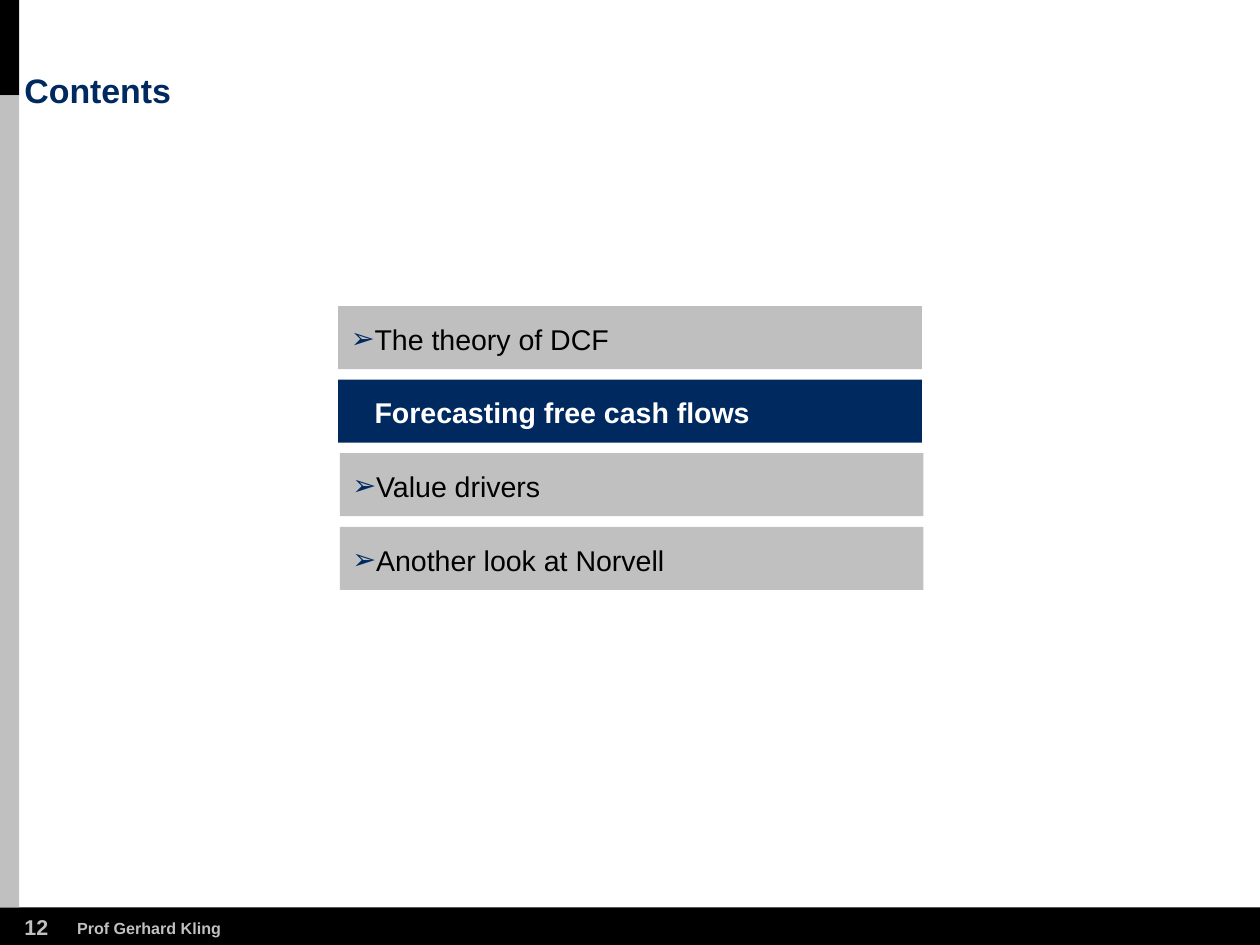
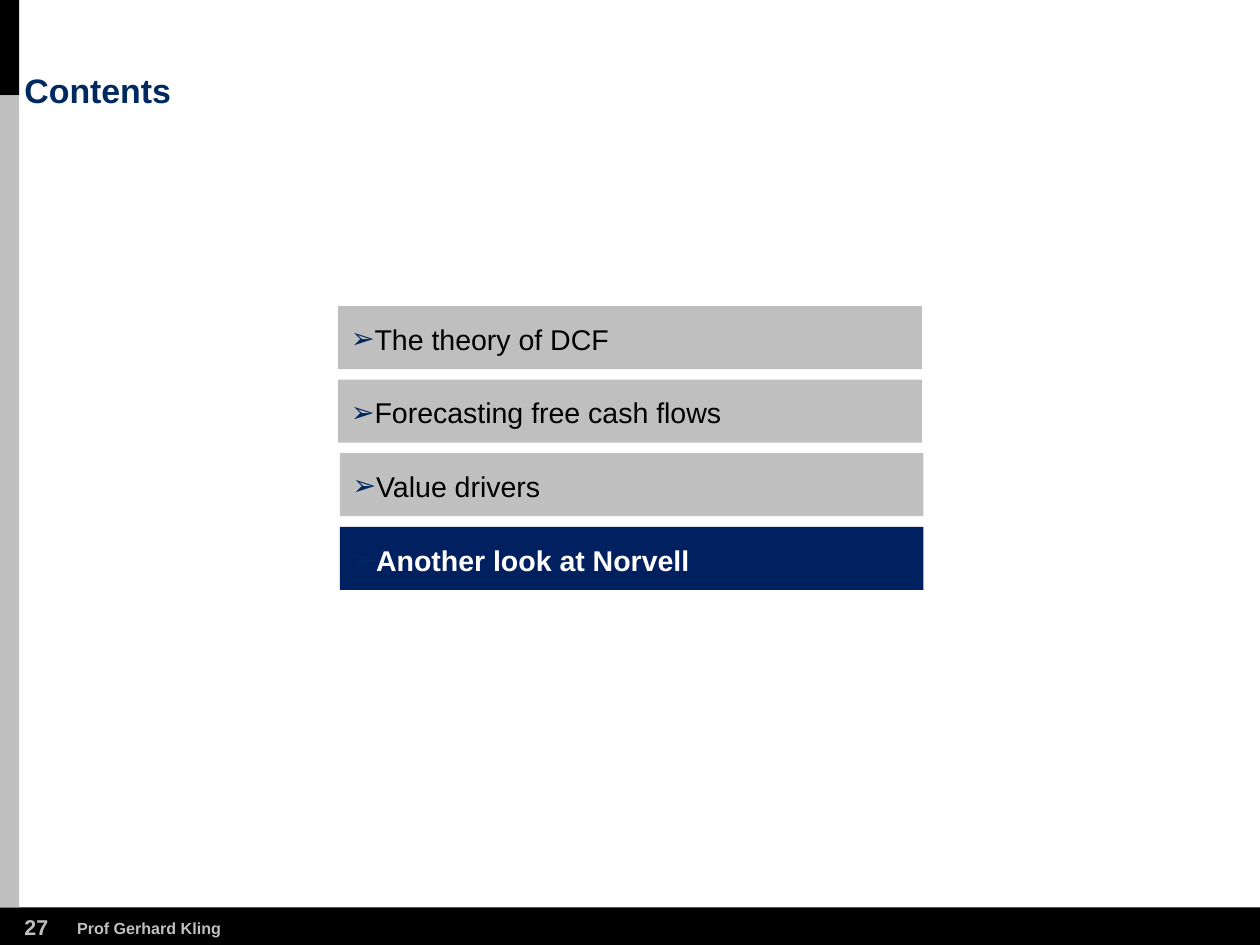
from lxml.etree import SubElement
from pptx import Presentation
from pptx.dml.color import RGBColor
from pptx.enum.shapes import MSO_SHAPE
from pptx.enum.text import MSO_ANCHOR, PP_ALIGN
from pptx.oxml.ns import qn
from pptx.util import Pt

WIDTH, HEIGHT = 705.6, 529.2
FOOTER_TOP = 508.2
SIDE_WIDTH, SIDE_SPLIT = 10.8, 53.4
TEXT_LEFT = 13.7

FONT = "Arial"
BLACK, WHITE = "000000", "FFFFFF"
NAVY, DEEP_NAVY = "002960", "002060"
GREY, LIGHT_GREY = "BFBFBF", "C0C0C0"

BAR_HEIGHT, BAR_PITCH = 35.3, 41.2
AGENDA_BOX = (189.4, 171.4, 326.9)
# Topic, shift to the right, fill, fill when it is the current topic
TOPICS = [
    ("The theory of DCF", 0, GREY, NAVY),
    ("Forecasting free cash flows", 0, GREY, NAVY),
    ("Value drivers", 0.9, LIGHT_GREY, DEEP_NAVY),
    ("Another look at Norvell", 0.9, LIGHT_GREY, DEEP_NAVY),
]


def rgb(value):
    return RGBColor.from_string(value)


def add_rect(s, left, top, width, height, fill):
    sp = s.shapes.add_shape(MSO_SHAPE.RECTANGLE, Pt(left), Pt(top), Pt(width), Pt(height))
    sp.shadow.inherit = False
    sp.fill.solid()
    sp.fill.fore_color.rgb = rgb(fill)
    sp.line.fill.background()
    return sp


def write(sp, text, size, color, bold=False, anchor=MSO_ANCHOR.TOP, wrap=False, insets=(0, 0)):
    """Put one left-aligned run in a shape; insets are left and top. Return its paragraph."""
    tf = sp.text_frame
    tf.word_wrap = wrap
    tf.vertical_anchor = anchor
    tf.margin_left, tf.margin_top = map(Pt, insets)
    tf.margin_right = tf.margin_bottom = 0
    p = tf.paragraphs[0]
    p.alignment = PP_ALIGN.LEFT
    r = p.add_run()
    r.text = text
    r.font.name = FONT
    r.font.size = Pt(size)
    r.font.bold = bold
    r.font.color.rgb = rgb(color)
    return p


def add_text(s, left, top, width, height, text, size, color, **style):
    sp = s.shapes.add_textbox(Pt(left), Pt(top), Pt(width), Pt(height))
    return write(sp, text, size, color, bold=True, **style)


def add_bullet(p, char, color, indent):
    pPr = p._p.get_or_add_pPr()
    pPr.set("marL", str(Pt(indent)))
    pPr.set("indent", str(-Pt(indent)))
    SubElement(SubElement(pPr, qn("a:buClr")), qn("a:srgbClr"), val=color)
    SubElement(pPr, qn("a:buFont"), typeface=FONT)
    SubElement(pPr, qn("a:buChar"), char=char)


def add_frame(s, title, number):
    """Bands, title and footer that every slide shares."""
    add_rect(s, 0, FOOTER_TOP, WIDTH, HEIGHT - FOOTER_TOP, BLACK)
    add_rect(s, 0, 0, SIDE_WIDTH, SIDE_SPLIT, BLACK)
    add_rect(s, 0, SIDE_SPLIT, SIDE_WIDTH, FOOTER_TOP - SIDE_SPLIT, LIGHT_GREY)
    add_text(s, TEXT_LEFT, 512, 14, 14, str(number), 12, LIGHT_GREY)
    add_text(s, 43.2, 514.2, 81.4, 10.8, "Prof Gerhard Kling", 9, LIGHT_GREY)
    p = add_text(s, TEXT_LEFT, 41.8, 558.7, 20.2, title, 19, NAVY,
                 anchor=MSO_ANCHOR.BOTTOM, wrap=True)
    p.line_spacing = 0.9


def add_agenda(s, left, top, width, current):
    """Stack of topic bars with the current one highlighted."""
    for i, (topic, shift, fill, current_fill) in enumerate(TOPICS):
        active = i == current
        sp = add_rect(s, left + shift, top + i * BAR_PITCH, width, BAR_HEIGHT,
                      current_fill if active else fill)
        p = write(sp, topic, 16, WHITE if active else BLACK, bold=active,
                  anchor=MSO_ANCHOR.MIDDLE, insets=(7.2, 1.5))
        add_bullet(p, "➢", NAVY, 11.5)


def add_contents_slide(prs, number, current):
    s = prs.slides.add_slide(prs.slide_layouts[6])
    add_frame(s, "Contents", number)
    add_agenda(s, *AGENDA_BOX, current)


def main():
    prs = Presentation()
    prs.slide_width, prs.slide_height = Pt(WIDTH), Pt(HEIGHT)
    add_contents_slide(prs, 12, current=1)
    add_contents_slide(prs, 27, current=3)
    prs.save("out.pptx")


if __name__ == "__main__":
    main()
